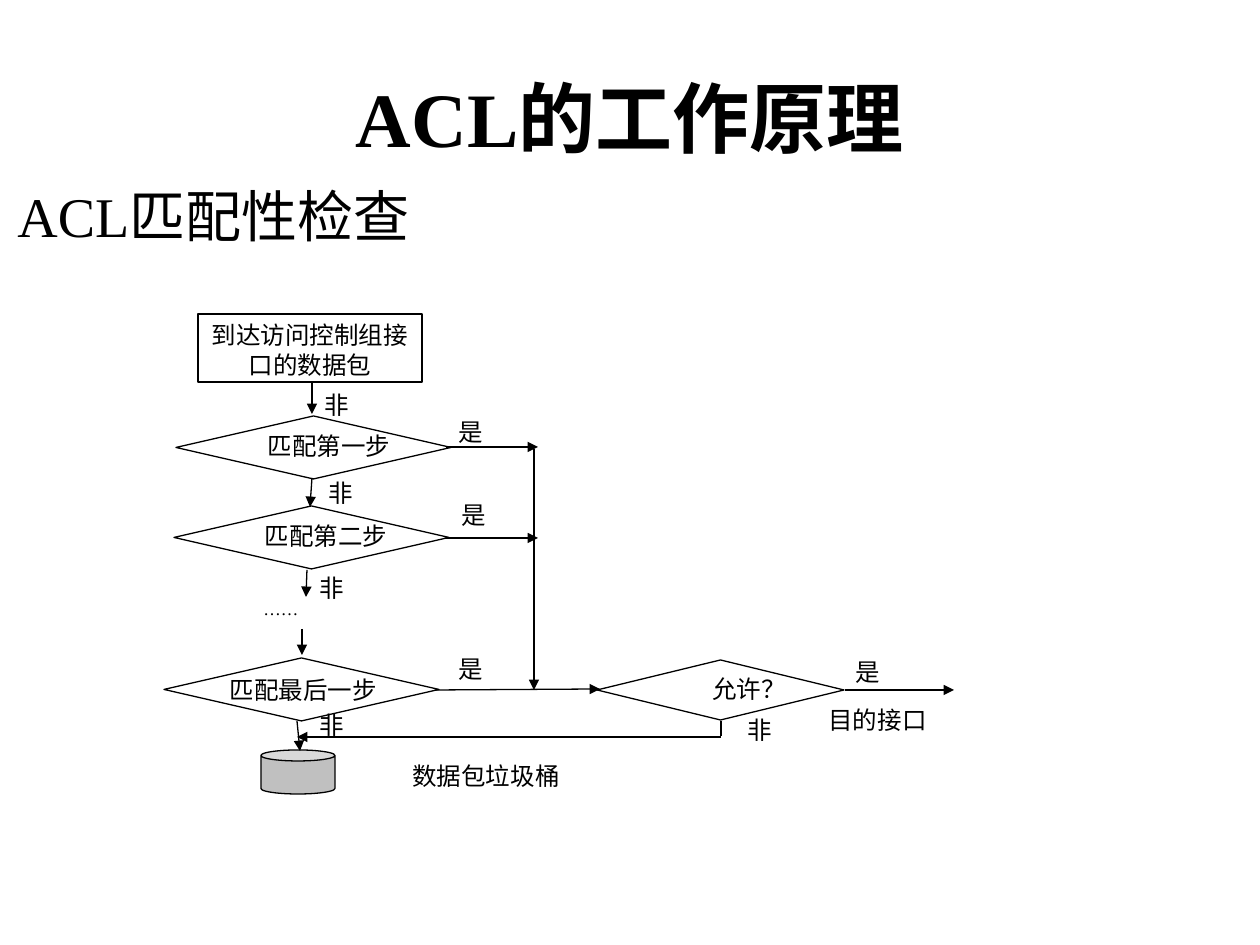
from dataclasses import dataclass

import pptx
import pptx.dml.color
import pptx.enum.shapes
import pptx.enum.text
import pptx.oxml
import pptx.oxml.ns
import pptx.util

PX = 914400 / 126
FONT = "Times New Roman"
BLACK, WHITE, GREY = "000000", "FFFFFF", "C0C0C0"
SHAPE = pptx.enum.shapes.MSO_SHAPE
ALIGN = pptx.enum.text.PP_ALIGN
ANCHOR = pptx.enum.text.MSO_ANCHOR


@dataclass
class Node:
    """An outlined shape of the flowchart."""
    kind: int
    x: int
    y: int
    w: int
    h: int
    text: str = ""
    fill: str = WHITE


@dataclass
class Label:
    """A free-standing piece of text."""
    text: str
    x: int
    y: int
    w: int
    h: int
    align: int = ALIGN.CENTER
    size: int = 14


@dataclass
class Link:
    """A straight line, with an arrowhead at its end by default."""
    x1: int
    y1: int
    x2: int
    y2: int
    arrow: bool = True


def emu(*pixels: int) -> list[pptx.util.Emu]:
    """Turn pixels into EMU."""
    return [pptx.util.Emu(round(v * PX)) for v in pixels]


def color(hex_string: str) -> pptx.dml.color.RGBColor:
    """Turn a hex string into a colour."""
    return pptx.dml.color.RGBColor.from_string(hex_string)


def set_text(sp, text: str, *, size: int = 14, bold: bool = False,
             align: int = ALIGN.CENTER, anchor: int = ANCHOR.TOP) -> None:
    """Write one formatted paragraph into a shape."""
    tf = sp.text_frame
    tf.word_wrap = True
    tf.vertical_anchor = anchor
    p = tf.paragraphs[0]
    p.alignment = align
    r = p.add_run()
    r.text = text
    r.font.name = FONT
    r.font.size = pptx.util.Pt(size)
    r.font.bold = bold
    r.font.color.rgb = color(BLACK)


def set_line(sp) -> None:
    """Give a shape or connector the thin black line."""
    sp.line.color.rgb = color(BLACK)
    sp.line.width = pptx.util.Pt(0.75)


def add_node(s, node: Node) -> None:
    """Draw a flowchart shape."""
    sp = s.shapes.add_shape(node.kind, *emu(node.x, node.y, node.w, node.h))
    sp.shadow.inherit = False
    sp.fill.solid()
    sp.fill.fore_color.rgb = color(node.fill)
    set_line(sp)
    if node.text:
        set_text(sp, node.text)


def add_label(s, label: Label) -> None:
    """Draw a text box."""
    sp = s.shapes.add_textbox(*emu(label.x, label.y, label.w, label.h))
    set_text(sp, label.text, size=label.size, align=label.align)


def add_link(s, link: Link) -> None:
    """Draw a line or arrow."""
    sp = s.shapes.add_connector(pptx.enum.shapes.MSO_CONNECTOR.STRAIGHT,
                                *emu(link.x1, link.y1, link.x2, link.y2))
    set_line(sp)
    if link.arrow:
        ln = sp.line._get_or_add_ln()
        ln.append(pptx.oxml.parse_xml(
            f'<a:tailEnd {pptx.oxml.ns.nsdecls("a")} type="triangle"/>'))
    sp._element.spPr.append(pptx.oxml.parse_xml(
        f'<a:effectLst {pptx.oxml.ns.nsdecls("a")}/>'))


NODES = [
    Node(SHAPE.RECTANGLE, 198, 314, 224, 68, "到达访问控制组接口的数据包"),
    *(Node(SHAPE.FLOWCHART_DECISION, x, y, 275, 63)
      for x, y in [(176, 416), (174, 506), (164, 658)]),
    Node(SHAPE.FLOWCHART_DECISION, 597, 660, 247, 60),
    Node(SHAPE.CAN, 261, 750, 74, 44, fill=GREY),
]
LINKS = [
    Link(312, 382, 312, 414),
    Link(312, 478, 310, 507),
    Link(307, 570, 306, 597),
    Link(302, 629, 302, 655),
    Link(297, 721, 300, 751),
    Link(446, 447, 538, 447),
    Link(446, 538, 538, 538),
    Link(534, 449, 534, 690),
    Link(436, 690, 600, 689),
    Link(845, 690, 954, 690),
    Link(721, 737, 297, 737),
    Link(721, 721, 721, 736, arrow=False),
]
YES = [(446, 411), (449, 494), (446, 648), (843, 651)]
NO = [(312, 384), (316, 472), (307, 567), (307, 704), (735, 709)]
LABELS = [
    Label("匹配第一步", 232, 425, 194, 45),
    Label("匹配第二步", 229, 515, 194, 45),
    Label("匹配最后一步", 200, 669, 207, 45),
    Label("允许？", 667, 668, 164, 45),
    Label("……", 251, 592, 141, 45, ALIGN.JUSTIFY, 10),
    Label("数据包垃圾桶", 357, 755, 258, 52),
    Label("目的接口", 816, 699, 194, 40, ALIGN.JUSTIFY),
    *(Label("是", x, y, 92, 42, ALIGN.JUSTIFY) for x, y in YES),
    *(Label("非", x, y, 74, 35, ALIGN.JUSTIFY) for x, y in NO),
]


def main() -> None:
    """Build and save the slide."""
    prs = pptx.Presentation()
    prs.slide_width, prs.slide_height = emu(1260, 945)
    s = prs.slides.add_slide(prs.slide_layouts[5])
    title = s.shapes.title
    title.left, title.top, title.width, title.height = emu(63, 38, 1134, 158)
    set_text(title, "ACL的工作原理", size=44, bold=True, anchor=ANCHOR.MIDDLE)
    add_label(s, Label("ACL匹配性检查", 5, 175, 576, 79, ALIGN.LEFT, 32))
    for node in NODES:
        add_node(s, node)
    for link in LINKS:
        add_link(s, link)
    for label in LABELS:
        add_label(s, label)
    prs.save("out.pptx")


main()
